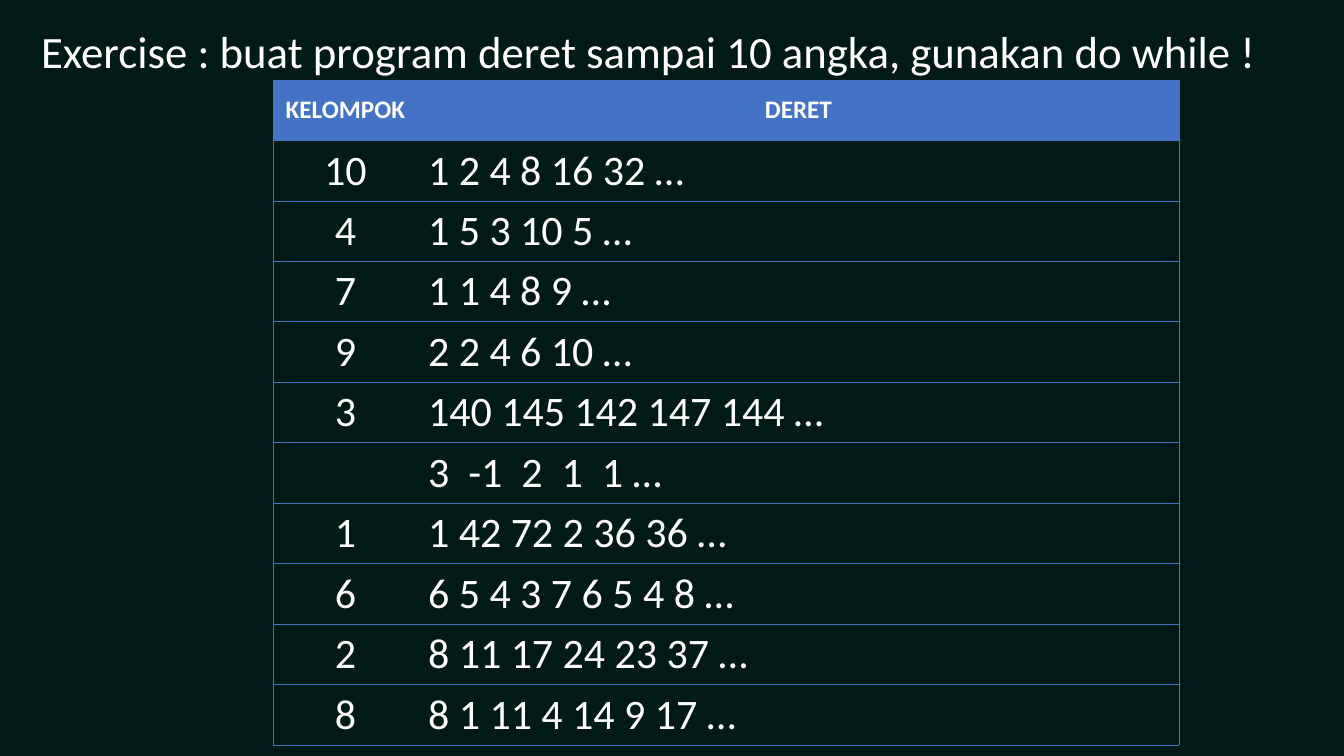
from lxml import etree
from pptx import Presentation
from pptx import util as u
from pptx.dml.color import RGBColor
from pptx.enum import text
from pptx.oxml.ns import qn

PX = 914400 / 100.8
FONT = "Calibri"
COLORS = {"background": "011A16", "accent": "4472C4", "text": "FFFFFF"}
SERIES = [
    ("10", "1 2 4 8 16 32 …"),
    ("4", "1 5 3 10 5 …"),
    ("7", "1 1 4 8 9 …"),
    ("9", "2 2 4 6 10 …"),
    ("3", "140 145 142 147 144 …"),
    ("", "3  -1  2  1  1 …"),
    ("1", "1 42 72 2 36 36 …"),
    ("6", "6 5 4 3 7 6 5 4 8 …"),
    ("2", "8 11 17 24 23 37 …"),
    ("8", "8 1 11 4 14 9 17 …"),
]


def px(n):
    return u.Emu(round(n * PX))


def write(paragraph, words, size, bold, align):
    paragraph.text = words
    paragraph.alignment = align
    font = paragraph.font
    if paragraph.runs:
        font = paragraph.runs[0].font
    font.name, font.size, font.bold = FONT, u.Pt(size), bold
    font.color.rgb = RGBColor.from_string(COLORS["text"])


prs = Presentation()
prs.slide_width, prs.slide_height = px(1344), px(756)
slide = prs.slides.add_slide(prs.slide_layouts[5])
slide.background.fill.solid()
slide.background.fill.fore_color.rgb = RGBColor.from_string(COLORS["background"])

# Title
title = slide.shapes.title
title.left, title.top, title.width, title.height = px(31), px(19), px(1291), px(65)
title.text_frame.word_wrap = True
title.text_frame.auto_size = text.MSO_AUTO_SIZE.NONE
title.text_frame.vertical_anchor = text.MSO_ANCHOR.TOP
write(title.text_frame.paragraphs[0],
      "Exercise : buat program deret sampai 10 angka, gunakan do while !",
      32, False, text.PP_ALIGN.LEFT)

# Table of groups and their number series
rows = [("KELOMPOK", "DERET")] + SERIES
table_height = 665
groups = slide.shapes.add_table(len(rows), 2, px(273), px(80), px(906), px(table_height)).table
groups.horz_banding = False
for column, width in zip(groups.columns, (145, 761)):
    column.width = px(width)

for r, row in enumerate(rows):
    groups.rows[r].height = px(table_height / len(rows))
    header = r == 0
    for c, words in enumerate(row):
        cell = groups.cell(r, c)
        cell.vertical_anchor = text.MSO_ANCHOR.MIDDLE
        cell.margin_top = cell.margin_bottom = px(4)
        centred = header or c == 0
        write(cell.text_frame.paragraphs[0], words, 18 if header else 30, header,
              text.PP_ALIGN.CENTER if centred else text.PP_ALIGN.LEFT)

        # Outer frame and row rules, with no line between the columns
        props = cell._tc.get_or_add_tcPr()
        for side, drawn in (("L", c == 0), ("R", c == 1), ("T", True), ("B", True)):
            border = etree.SubElement(props, qn(f"a:ln{side}"), w=str(u.Pt(0.5)))
            if drawn:
                paint = etree.SubElement(border, qn("a:solidFill"))
                etree.SubElement(paint, qn("a:srgbClr"), val=COLORS["accent"])
            else:
                etree.SubElement(border, qn("a:noFill"))

        cell.fill.solid()
        cell.fill.fore_color.rgb = RGBColor.from_string(
            COLORS["accent" if header else "background"])

prs.save("out.pptx")
